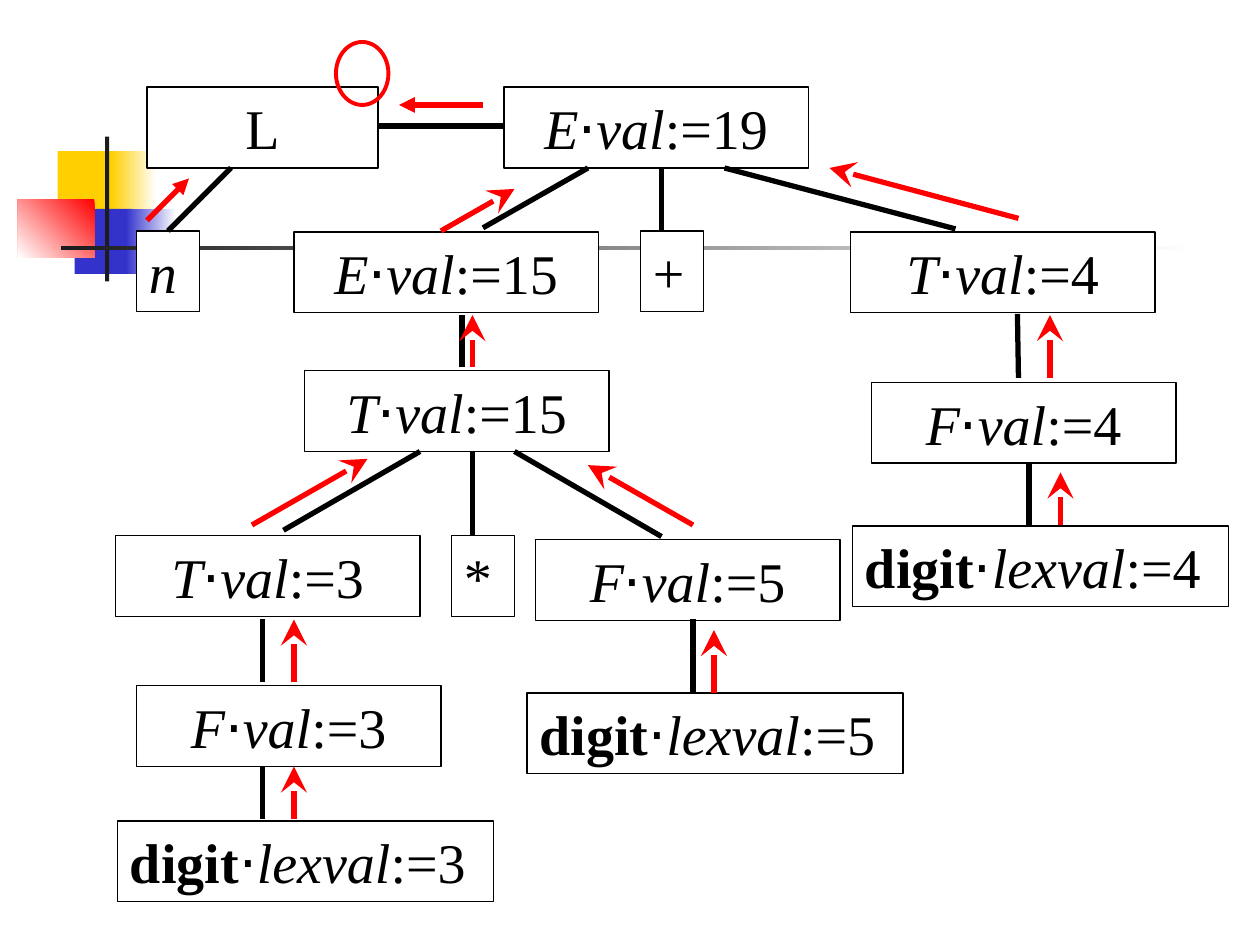
from pptx import Presentation
from pptx.dml.color import RGBColor
from pptx.enum.dml import MSO_LINE
from pptx.enum.shapes import MSO_CONNECTOR, MSO_SHAPE
from pptx.enum.text import MSO_ANCHOR, PP_ALIGN
from pptx.oxml.ns import qn
from pptx.util import Cm, Pt
from lxml import etree

RECT, OVAL = MSO_SHAPE.RECTANGLE, MSO_SHAPE.OVAL
LINE, SOLID = MSO_CONNECTOR.STRAIGHT, MSO_LINE.SOLID
LEFT, MID = PP_ALIGN.LEFT, PP_ALIGN.CENTER
CENTRE = MSO_ANCHOR.MIDDLE

THEME = {
    "ink": "000000", "flow": "FF0000", "paper": "FFFFFF",
    "gold": "FFCF01", "blue": "3333CC", "dark": "1C1C1C",
    "font": "Times New Roman", "dot": "Arial", "size": 32,
    "frame": 0.75, "ring": 2.25, "edge": 3,
}

# All places are in grid units: the slide is 120 by 90 of them.
UNIT = 25.4 / 120
HIGH = 7.7
WIDE = {"leaf": 35.8, "node": 29, "root": 22, "sign": 6}

# Place, start colour, end colour (None for a flat fill), angle
DECOR = [
    ((5.5, 14.4, 5.8, 6.2), "gold", None, 0),
    ((10.6, 14.4, 4.3, 6.2), "paper", "gold", 180),
    ((7.1, 19.9, 5.5, 6.2), "blue", None, 0),
    ((12, 19.9, 4.8, 6.2), "paper", "blue", 180),
    ((1.7, 19, 7.3, 5.5), "flow", "paper", 225),
    ((10, 13, 0.4, 13.8), "dark", None, 0),
    ((5.8, 23.4, 108, 0.4), "paper", "dark", 180),
]

# Kind, left, top, symbol, value
BOXES = [
    ("root", 14, 8.3, "L", None),
    ("node", 48, 8.3, "E", 19),
    ("sign", 13, 22, "n", None),
    ("node", 28, 22.1, "E", 15),
    ("sign", 61, 22, "+", None),
    ("node", 81, 22.1, "T", 4),
    ("node", 29, 35.3, "T", 15),
    ("node", 83, 36.4, "F", 4),
    ("node", 11, 51, "T", 3),
    ("sign", 43, 51, "*", None),
    ("node", 51, 51.4, "F", 5),
    ("leaf", 81.2, 50.1, "digit", 4),
    ("node", 13, 65.3, "F", 3),
    ("leaf", 50.2, 66, "digit", 5),
    ("leaf", 11.2, 78.2, "digit", 3),
]

EDGES = [
    (48, 12, 36, 12), (22, 16, 16, 22), (56, 16, 46, 21.7),
    (63, 16, 63, 22), (69, 16, 91, 21.8), (44, 35, 44, 30),
    (97, 36, 96.9, 29.9), (40, 43, 27, 50.5), (45, 43, 45, 51),
    (49, 43, 63, 51.1), (98, 50, 98, 44), (25, 65, 25, 59),
    (66, 66, 66, 59), (25, 78, 25, 73),
]

FLOWS = {
    ("stealth", "lg"): [
        (28, 78, 28, 73), (28, 65, 28, 59), (68, 66, 68, 60),
        (24, 50, 35, 43.7), (66, 50, 56, 44.3), (45, 35, 45, 30),
        (101, 50, 101, 45), (100, 36, 100, 30), (42, 22, 49, 18),
        (97, 20.8, 79, 16),
    ],
    ("triangle", "med"): [(14, 21, 18, 17), (46, 10, 38, 10)],
}

RING = (32, 4, 5, 6)


def grid(spot):
    return [Cm(n * UNIT) for n in spot]


def tint(name):
    return RGBColor.from_string(THEME[name])


def stroke(line, name, width):
    line.color.rgb = tint(name)
    line.width = Pt(THEME[width])


def shape(slide, kind, spot):
    item = slide.shapes.add_shape(kind, *grid(spot))
    item.shadow.inherit = False
    return item


def decor(slide, spot, start, end, angle):
    item = shape(slide, RECT, spot)
    item.line.fill.background()
    if end is None:
        item.fill.solid()
        item.fill.fore_color.rgb = tint(start)
        return
    item.fill.gradient()
    item.fill.gradient_angle = angle
    for stop, name in zip(item.fill.gradient_stops, (start, end)):
        stop.color.rgb = tint(name)


def parts(kind, name, value):
    """Split a label into runs of text, font, bold and italic."""
    font = THEME["font"]
    if value is None:
        return [(name, font, False, name == "n")]
    leaf = kind == "leaf"
    return [
        (name, font, leaf, not leaf),
        ("⋅", THEME["dot"], False, False),
        ("lexval" if leaf else "val", font, False, True),
        (f":={value}", font, False, False),
    ]


def box(slide, kind, left, top, name, value):
    item = shape(slide, RECT, (left, top, WIDE[kind], HIGH))
    item.fill.solid()
    item.fill.fore_color.rgb = tint("paper")
    stroke(item.line, "ink", "frame")
    frame = item.text_frame
    frame.word_wrap = True
    frame.vertical_anchor = CENTRE
    para = frame.paragraphs[0]
    para.alignment = MID if kind in ("node", "root") else LEFT
    para.font.size = Pt(THEME["size"])
    para.font.color.rgb = tint("ink")
    for text, font, bold, slant in parts(kind, name, value):
        run = para.add_run()
        run.text = text
        run.font.name = font
        run.font.bold = bold
        run.font.italic = slant


def link(slide, ends, name, head=None):
    item = slide.shapes.add_connector(LINE, *grid(ends))
    stroke(item.line, name, "edge")
    item.line.dash_style = SOLID
    props = item.element.spPr
    if head:
        kind, size = head
        etree.SubElement(props.find(qn("a:ln")), qn("a:tailEnd"),
                         type=kind, w=size, len=size)
    etree.SubElement(props, qn("a:effectLst"))


def main():
    deck = Presentation()
    deck.slide_width, deck.slide_height = grid((120, 90))
    slide = deck.slides.add_slide(deck.slide_layouts[6])
    for row in DECOR:
        decor(slide, *row)
    for row in BOXES:
        box(slide, *row)
    for ends in EDGES:
        link(slide, ends, "ink")
    for head, rows in FLOWS.items():
        for ends in rows:
            link(slide, ends, "flow", head)
    ring = shape(slide, OVAL, RING)
    ring.fill.background()
    stroke(ring.line, "flow", "ring")
    deck.save("out.pptx")


if __name__ == "__main__":
    main()
